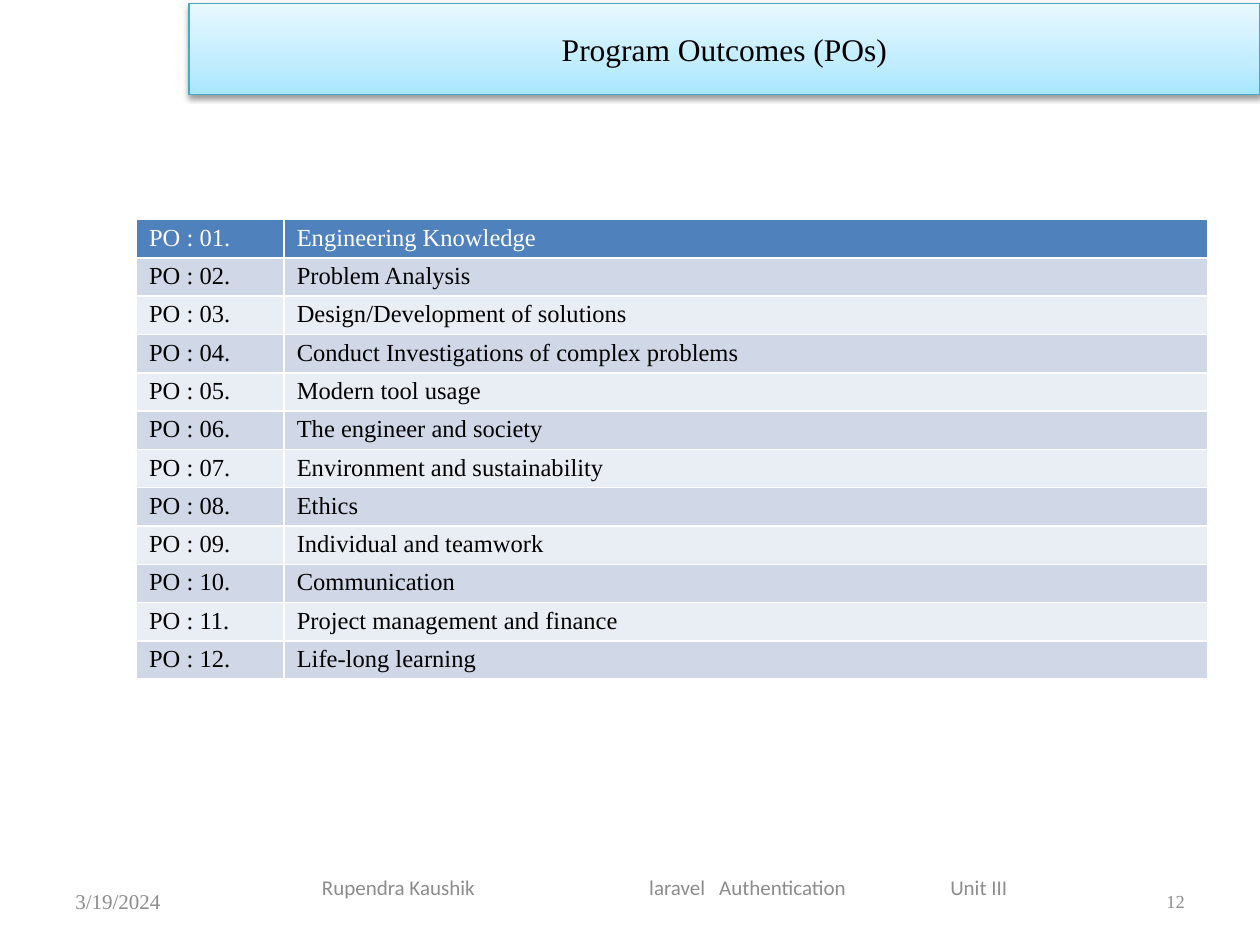
"""Build the Program Outcomes slide with its banded table and footer."""
import lxml.etree
import pptx
import pptx.dml.color
import pptx.enum.shapes
import pptx.enum.text
import pptx.oxml
import pptx.oxml.ns
import pptx.util

Pt = pptx.util.Pt
ALIGN = pptx.enum.text.PP_ALIGN
MIDDLE = pptx.enum.text.MSO_ANCHOR.MIDDLE
NS = pptx.oxml.ns.nsdecls("a")
SERIF = "Times New Roman"
GREY = "8C8C8C"


def rgb(value):
    return pptx.dml.color.RGBColor.from_string(value)


def write(tf, text, size, color, align=ALIGN.LEFT, name=SERIF, tabs=()):
    tf.word_wrap = True
    p = tf.paragraphs[0]
    p.text = text
    p.alignment = align
    if tabs:
        stops = "".join(f'<a:tab pos="{Pt(t)}" algn="l"/>' for t in tabs)
        p._p.get_or_add_pPr().append(pptx.oxml.parse_xml(f"<a:tabLst {NS}>{stops}</a:tabLst>"))
    p.font.name = name
    p.font.size = Pt(size)
    p.font.bold = False
    p.font.color.rgb = rgb(color)


prs = pptx.Presentation()
prs.slide_width, prs.slide_height = Pt(720), Pt(540)
slide = prs.slides.add_slide(prs.slide_layouts[6])

s = slide.shapes.add_shape(pptx.enum.shapes.MSO_SHAPE.RECTANGLE, Pt(108), Pt(2), Pt(612), Pt(52))
s.fill.gradient()
s.fill.gradient_angle = 90
stops = s._element.spPr.find(".//" + pptx.oxml.ns.qn("a:gsLst"))
stops.clear()
for position, color in ((0, "A7E6FF"), (35, "C1EDFF"), (100, "E7F8FF")):
    stops.append(pptx.oxml.parse_xml(
        f'<a:gs {NS} pos="{position * 1000}"><a:srgbClr val="{color}"/></a:gs>'))
s.line.color.rgb = rgb("46AAC5")
s.line.width = Pt(0.75)
s.shadow.inherit = False
s._element.spPr.find(pptx.oxml.ns.qn("a:effectLst")).append(pptx.oxml.parse_xml(
    f'<a:outerShdw {NS} blurRad="{Pt(3.1)}" dist="{Pt(1.6)}" dir="5400000" rotWithShape="0">'
    '<a:srgbClr val="000000"><a:alpha val="38000"/></a:srgbClr></a:outerShdw>'))
s.text_frame.vertical_anchor = MIDDLE
write(s.text_frame, "Program Outcomes (POs)", 18, "000000", ALIGN.CENTER)

outcomes = [
    "Engineering Knowledge",
    "Problem Analysis",
    "Design/Development of solutions",
    "Conduct Investigations of complex problems",
    "Modern tool usage",
    "The engineer and society",
    "Environment and sustainability",
    "Ethics",
    "Individual and teamwork",
    "Communication",
    "Project management and finance",
    "Life-long learning",
]
row_height = 21.9
table = slide.shapes.add_table(len(outcomes), 2, Pt(78), Pt(125.5), Pt(612),
                               Pt(row_height * len(outcomes))).table
table.first_row = table.horz_banding = False
table.columns[0].width, table.columns[1].width = Pt(84.4), Pt(527.6)
for i, outcome in enumerate(outcomes):
    table.rows[i].height = Pt(row_height)
    fill = "4F81BD" if i == 0 else ("E9EDF4", "D0D8E8")[i % 2]
    for j, text in enumerate((f"PO : {i + 1:02}.", outcome)):
        cell = table.cell(i, j)
        cell.margin_top = cell.margin_bottom = Pt(2.8)
        for side in "LRTB":
            cell._tc.get_or_add_tcPr().append(pptx.oxml.parse_xml(
                f'<a:ln{side} {NS} w="{Pt(1)}"><a:solidFill><a:srgbClr val="FFFFFF"/>'
                f'</a:solidFill></a:ln{side}>'))
        cell.fill.solid()
        cell.fill.fore_color.rgb = rgb(fill)
        write(cell.text_frame, text, 14, "000000" if i else "FFFFFF")

footers = [
    ("3/19/2024", 36, 500.5, 168, 28.8, 7.2, 12, ALIGN.LEFT, SERIF, ()),
    ("12", 516, 500.5, 168, 28.8, 7.2, 10.5, ALIGN.RIGHT, SERIF, ()),
    ("Rupendra Kaushik\tlaravel\tAuthentication\tUnit III",
     158.4, 496, 444, 21.6, 25.6, 12, ALIGN.LEFT, "Calibri", (187, 227, 359)),
]
for text, left, top, width, height, inset, size, align, name, tabs in footers:
    tf = slide.shapes.add_textbox(Pt(left), Pt(top), Pt(width), Pt(height)).text_frame
    tf.margin_left = Pt(inset)
    tf.vertical_anchor = MIDDLE
    write(tf, text, size, GREY, align, name, tabs)

prs.save("out.pptx")
